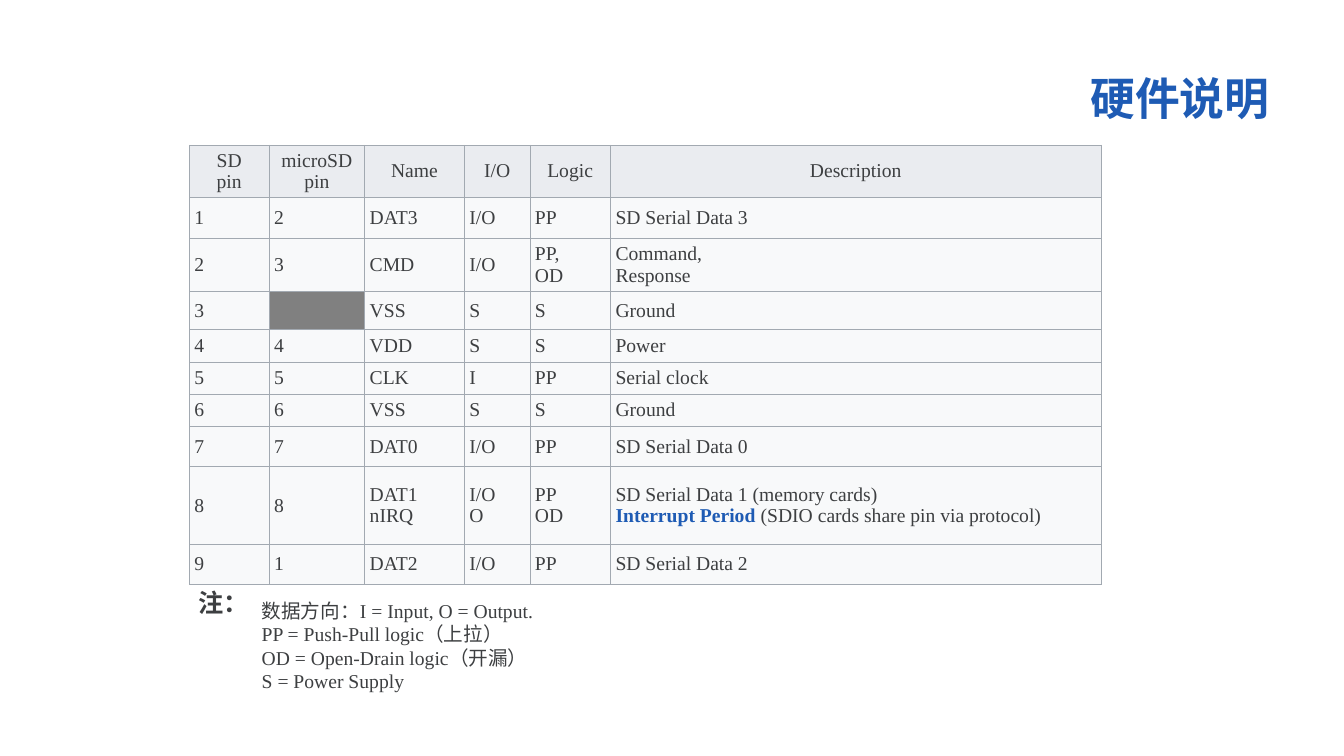
from copy import deepcopy

from lxml import etree
from pptx import Presentation
from pptx.dml.color import RGBColor
from pptx.enum.text import MSO_ANCHOR, MSO_AUTO_SIZE, PP_ALIGN
from pptx.oxml.ns import qn
from pptx.util import Pt

PX = 9144  # 100 px per inch
LEFT, CENTER, RIGHT = PP_ALIGN.LEFT, PP_ALIGN.CENTER, PP_ALIGN.RIGHT
MIDDLE, BOTTOM = MSO_ANCHOR.MIDDLE, MSO_ANCHOR.BOTTOM
FIT = MSO_AUTO_SIZE.SHAPE_TO_FIT_TEXT
SERIF, CJK = "Times New Roman", "Noto Sans CJK SC"
INK, BLUE, BORDER = "3D3F41", "1E5BB4", "A2A9B1"
HEAD_FILL, BODY_FILL, EMPTY_FILL = "EAECF0", "F8F9FA", "808080"


def rgb(color):
    return RGBColor.from_string(color)


def write(p, text, size=14, font=SERIF, color=INK, bold=False, align=LEFT, spacing=None):
    """Add text to a paragraph; a newline becomes a line break."""
    p.alignment = align
    if spacing:
        p.line_spacing = spacing
    for i, line in enumerate(text.split("\n")):
        if i:
            p.add_line_break()
            p._p.findall(qn("a:br"))[-1].append(deepcopy(r._r.rPr))
            if not line:
                continue
        r = p.add_run()
        r.text = line
        r.font.size, r.font.bold, r.font.name = Pt(size), bold, font
        r.font.color.rgb = rgb(color)
        etree.SubElement(r._r.rPr, qn("a:ea"), typeface=CJK)


prs = Presentation()
prs.slide_width, prs.slide_height = 1334 * PX, 750 * PX
s = prs.slides.add_slide(prs.slide_layouts[6])

# Title
tf = s.shapes.add_textbox(502 * PX, 52 * PX, 768 * PX, 77 * PX).text_frame
tf.word_wrap = True
tf.vertical_anchor = BOTTOM
write(tf.paragraphs[0], "硬件说明", size=32, font=CJK, color=BLUE, bold=True,
      align=RIGHT, spacing=0.9)

# Pin table
col_widths = [79, 95, 99, 65, 80, 487]
row_heights = [52, 40, 53, 38, 32, 32, 32, 40, 77, 40]
pins = [
    ["SD\npin", "microSD\npin", "Name", "I/O", "Logic", "Description"],
    ["1", "2", "DAT3", "I/O", "PP", "SD Serial Data 3"],
    ["2", "3", "CMD", "I/O", "PP,\nOD", "Command,\nResponse"],
    ["3", "", "VSS", "S", "S", "Ground"],
    ["4", "4", "VDD", "S", "S", "Power"],
    ["5", "5", "CLK", "I", "PP", "Serial clock"],
    ["6", "6", "VSS", "S", "S", "Ground"],
    ["7", "7", "DAT0", "I/O", "PP", "SD Serial Data 0"],
    ["8", "8", "DAT1\nnIRQ", "I/O\nO", "PP\nOD", "SD Serial Data 1 (memory cards)\n"],
    ["9", "1", "DAT2", "I/O", "PP", "SD Serial Data 2"],
]
table = s.shapes.add_table(len(pins), len(col_widths), 188 * PX, 144 * PX,
                           sum(col_widths) * PX, sum(row_heights) * PX).table
table.first_row = table.horz_banding = False
for col, width in zip(table.columns, col_widths):
    col.width = width * PX
for row, height in zip(table.rows, row_heights):
    row.height = height * PX

for i, texts in enumerate(pins):
    for j, text in enumerate(texts):
        cell = table.cell(i, j)
        cell.vertical_anchor = MIDDLE
        cell.margin_left = cell.margin_right = 5 * PX
        cell.margin_top = cell.margin_bottom = 2 * PX  # keeps rows at their set heights
        tcPr = cell._tc.get_or_add_tcPr()
        for side in ("a:lnL", "a:lnR", "a:lnT", "a:lnB"):
            ln = etree.SubElement(tcPr, qn(side), w=str(Pt(0.34)))
            fill = etree.SubElement(ln, qn("a:solidFill"))
            etree.SubElement(fill, qn("a:srgbClr"), val=BORDER)
        cell.fill.solid()
        cell.fill.fore_color.rgb = rgb(
            HEAD_FILL if i == 0 else BODY_FILL if text else EMPTY_FILL)
        write(cell.text_frame.paragraphs[0], text, align=LEFT if i else CENTER)

# Second line of the DAT1 description
p = table.cell(8, 5).text_frame.paragraphs[0]
write(p, "Interrupt Period", color=BLUE, bold=True)
write(p, " (SDIO cards share pin via protocol)")

# Legend
legend = [
    "数据方向：I = Input, O = Output.",
    "PP = Push-Pull logic（上拉）",
    "OD = Open-Drain logic（开漏）",
    "S = Power Supply",
]
tf = s.shapes.add_textbox(250 * PX, 589 * PX, 294 * PX, 104 * PX).text_frame
tf.word_wrap = False
tf.auto_size = FIT
for i, line in enumerate(legend):
    write(tf.add_paragraph() if i else tf.paragraphs[0], line)

# Legend label
tf = s.shapes.add_textbox(187 * PX, 569 * PX, 70 * PX, 49 * PX).text_frame
tf.word_wrap = False
tf.auto_size = FIT
write(tf.paragraphs[0], "注：", size=18, font=CJK, bold=True, spacing=1.3)

prs.save("out.pptx")
